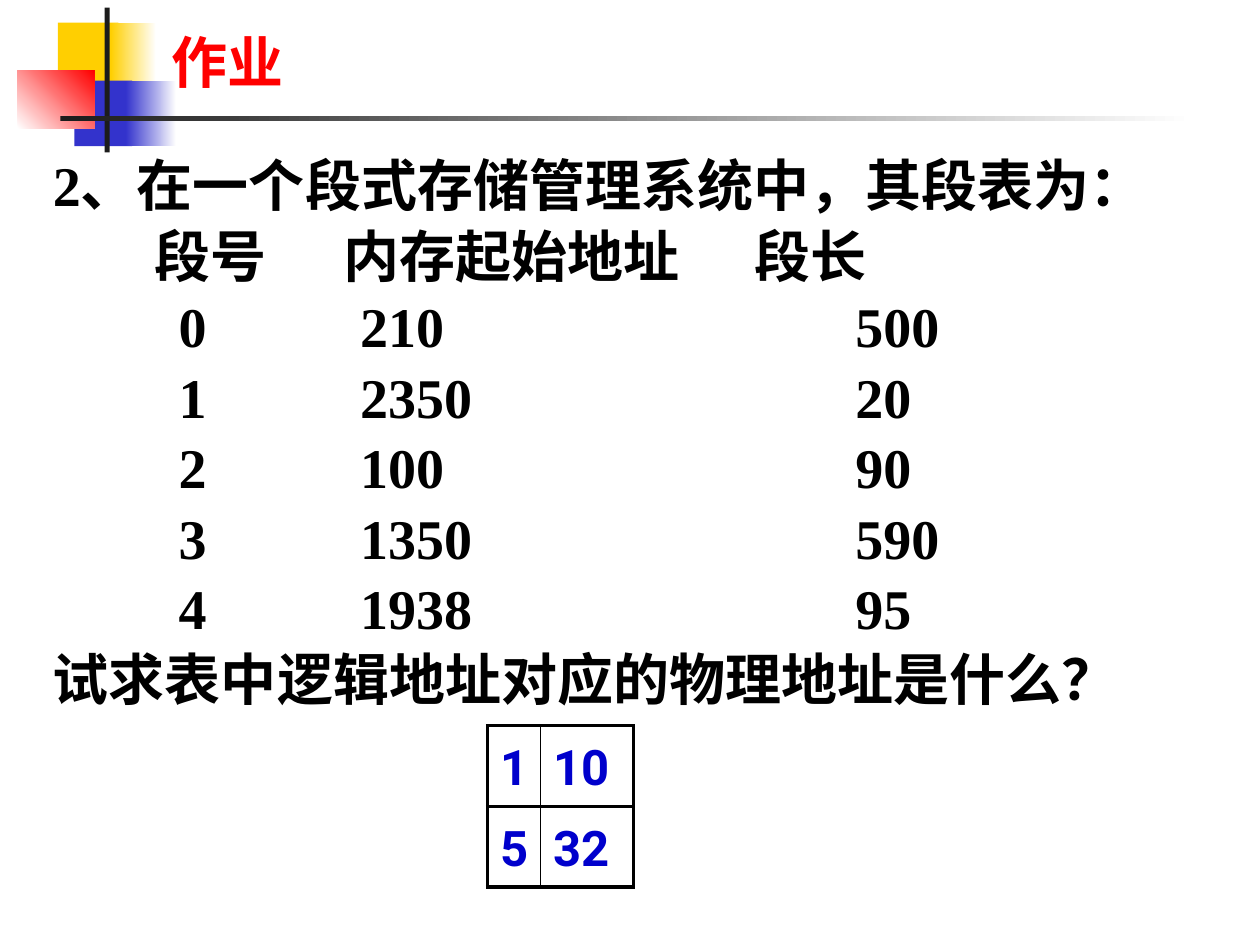
from dataclasses import dataclass

from lxml import etree
from pptx import Presentation
from pptx.dml.color import RGBColor
from pptx.enum.shapes import MSO_SHAPE
from pptx.enum.text import MSO_ANCHOR, MSO_AUTO_SIZE, PP_ALIGN
from pptx.oxml.ns import qn
from pptx.util import Inches, Pt

RECT = MSO_SHAPE.RECTANGLE
BOTTOM = MSO_ANCHOR.BOTTOM
NO_FIT = MSO_AUTO_SIZE.NONE
LEFT = PP_ALIGN.LEFT


@dataclass(frozen=True)
class Theme:
    yellow: str = "FFCF01"
    blue: str = "3333CC"
    red: str = "FF0000"
    dark: str = "1C1C1C"
    white: str = "FFFFFF"
    black: str = "000000"
    answer: str = "0000CC"
    serif: str = "Times New Roman"
    sans: str = "Roboto"
    text_size: float = 32
    cell_size: float = 28
    line_pitch: float = 40.3
    thick: float = 2.25
    thin: float = 1


class SlideBuilder:
    def __init__(self, prs, theme):
        self.theme = theme
        self.s = prs.slides.add_slide(prs.slide_layouts[1])

    def run(self, p, text, font, size, color):
        r = p.add_run()
        r.text = text
        r.font.name = font
        r.font.size = Pt(size)
        r.font.bold = True
        r.font.color.rgb = RGBColor.from_string(color)

    def line(self, p, text, before=0):
        t = self.theme
        p.alignment = LEFT
        p.line_spacing = Pt(t.line_pitch)
        p.space_before, p.space_after = Pt(before), Pt(0)
        self.run(p, text, t.serif, t.text_size, t.black)
        return p._p.get_or_add_pPr()

    def bar(self, box, start, end=None, angle=0):
        sp = self.s.shapes.add_shape(RECT, *map(Inches, box))
        sp.shadow.inherit = False
        sp.line.fill.background()
        if end is None:
            sp.fill.solid()
            sp.fill.fore_color.rgb = RGBColor.from_string(start)
            return
        sp.fill.gradient()
        sp.fill.gradient_angle = angle
        for stop, color in zip(sp.fill.gradient_stops, (start, end)):
            stop.color.rgb = RGBColor.from_string(color)

    def placeholder(self, index, box):
        sp = self.s.placeholders[index]
        sp.left, sp.top, sp.width, sp.height = map(Inches, box)
        sp.element.getparent().append(sp.element)
        tf = sp.text_frame
        tf.word_wrap = True
        tf.auto_size = NO_FIT
        return tf

    def title(self, text, box):
        t = self.theme
        tf = self.placeholder(0, box)
        tf.vertical_anchor = BOTTOM
        p = tf.paragraphs[0]
        p.alignment = LEFT
        self.run(p, text, t.serif, t.text_size, t.red)

    def body(self, paragraphs, box):
        tf = self.placeholder(1, box)
        for i, (text, before) in enumerate(paragraphs):
            p = tf.add_paragraph() if i else tf.paragraphs[0]
            pPr = self.line(p, text, before)
            pPr.set("marL", "0")
            pPr.set("indent", "0")
            etree.SubElement(pPr, qn("a:buNone"))

    def columns(self, rows, box):
        tf = self.s.shapes.add_textbox(*map(Inches, box)).text_frame
        tf.word_wrap = True
        for i, (cells, tabs) in enumerate(rows):
            p = tf.add_paragraph() if i else tf.paragraphs[0]
            pPr = self.line(p, "".join(f"\t{cell}" for cell in cells))
            stops = etree.SubElement(pPr, qn("a:tabLst"))
            for pos in tabs:
                etree.SubElement(stops, qn("a:tab"), pos=str(Inches(pos)), algn="l")

    def borders(self, cell, widths):
        tcPr = cell._tc.get_or_add_tcPr()
        for i, (side, width) in enumerate(zip("LRTB", widths)):
            ln = etree.Element(qn(f"a:ln{side}"), w=str(Pt(width)))
            fill = etree.SubElement(ln, qn("a:solidFill"))
            etree.SubElement(fill, qn("a:srgbClr"), val=self.theme.black)
            tcPr.insert(i, ln)

    def table(self, rows, left, top, col_widths, row_height):
        t = self.theme
        frame = self.s.shapes.add_table(
            len(rows), len(col_widths), Inches(left), Inches(top),
            Inches(sum(col_widths)), Inches(row_height * len(rows)))
        tbl = frame.table
        tbl.first_row = tbl.horz_banding = False
        for col, width in zip(tbl.columns, col_widths):
            col.width = Inches(width)
        last = len(col_widths) - 1
        for i, row in enumerate(rows):
            tbl.rows[i].height = Inches(row_height)
            for j, text in enumerate(row):
                cell = tbl.cell(i, j)
                cell.fill.background()
                self.borders(cell, (t.thin if j else t.thick,
                                    t.thick if j == last else t.thin,
                                    t.thick, t.thick))
                p = cell.text_frame.paragraphs[0]
                p.line_spacing = 1.15
                self.run(p, text, t.sans, t.cell_size, t.answer)


def main():
    prs = Presentation()
    prs.slide_width, prs.slide_height = Inches(10), Inches(7.5)
    t = Theme()
    b = SlideBuilder(prs, t)

    b.bar((0.46, 0.18, 0.48, 0.52), t.yellow)
    b.bar((0.88, 0.18, 0.36, 0.52), t.yellow, t.white)
    b.bar((0.59, 0.64, 0.46, 0.52), t.blue)
    b.bar((1, 0.64, 0.4, 0.52), t.blue, t.white)
    b.bar((0.14, 0.56, 0.61, 0.46), t.white, t.red, 45)
    b.bar((0.83, 0.06, 0.04, 1.15), t.dark)
    b.bar((0.48, 0.92, 9, 0.04), t.dark, t.white)

    b.title("作业", (1.26, 0.06, 8.52, 0.74))

    header_tabs, data_tabs = (0.81, 2.31, 5.57), (1, 2.44, 6.37)
    segments = [(210, 500), (2350, 20), (100, 90), (1350, 590), (1938, 95)]
    rows = [(("段号", "内存起始地址", "段长"), header_tabs)]
    rows += [((n, *segment), data_tabs) for n, segment in enumerate(segments)]
    rows_height = len(rows) * t.line_pitch

    left, top, width = 0.32, 1.12, 9.41
    b.body([("2、在一个段式存储管理系统中，其段表为：", 0),
            ("试求表中逻辑地址对应的物理地址是什么？", rows_height)],
           (left, top, width, 4.66))
    b.columns(rows, (left, top + t.line_pitch / 72, width, rows_height / 72 + 0.1))

    b.table([("1", "10"), ("5", "32")], 3.87, 5.76, (0.42, 0.74), 0.64)
    prs.save("out.pptx")


if __name__ == "__main__":
    main()
